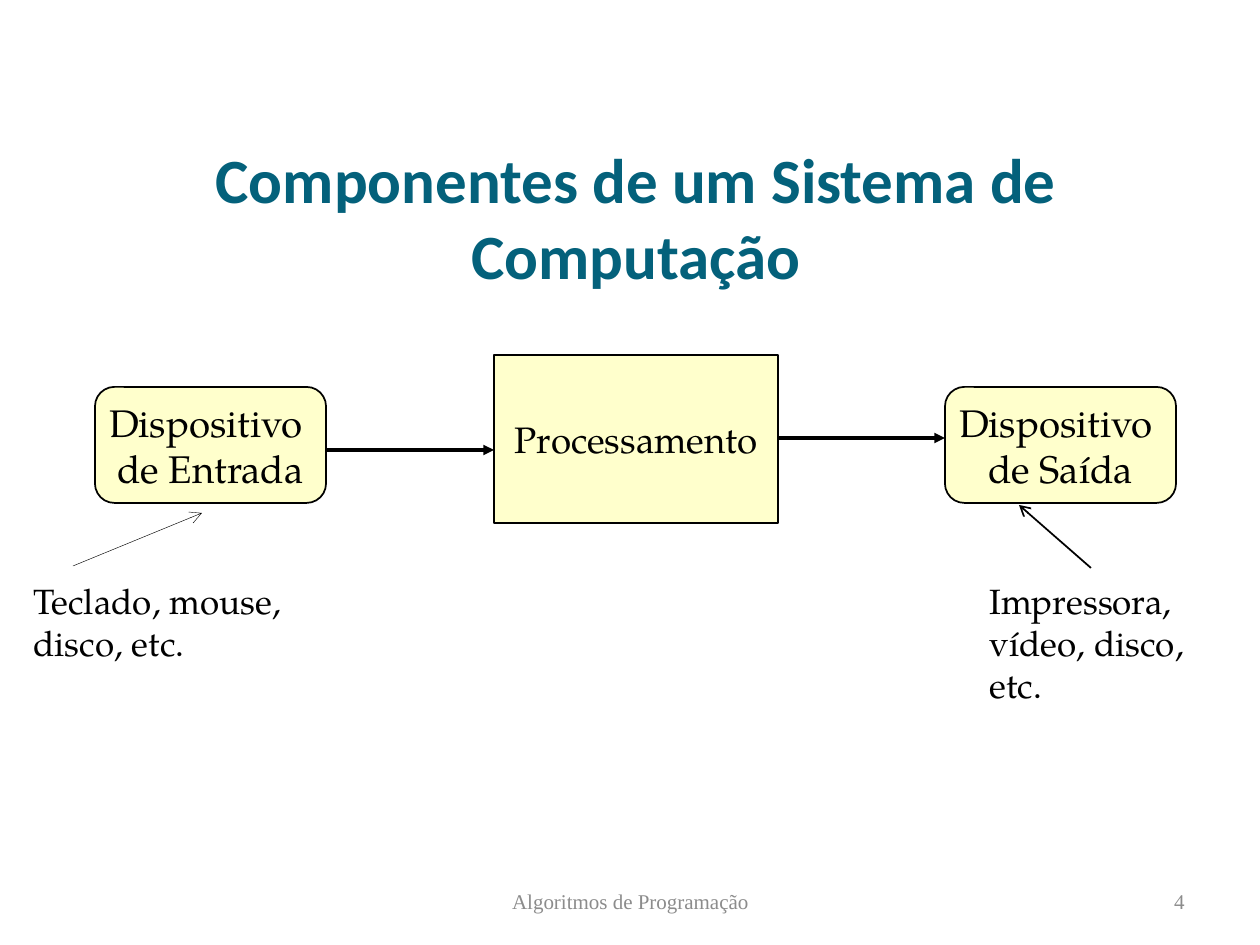
from lxml.etree import SubElement
from pptx import Presentation
from pptx.dml.color import RGBColor
from pptx.enum.shapes import MSO_CONNECTOR, MSO_SHAPE
from pptx.enum.text import MSO_ANCHOR as ANCHOR, MSO_AUTO_SIZE as FIT, PP_ALIGN as ALIGN
from pptx.oxml.ns import qn
from pptx.util import Pt

PX = 914400 // 126
COLORS = {"title": "04617B", "box": "FFFFCC", "ink": "000000", "footer": "8C8C8C"}
BODY_FONT = "TeX Gyre Pagella"


def emu(*pixels):
    """Turn pixel lengths into EMU."""
    return [n * PX for n in pixels]


def color(name):
    """Look up a named colour."""
    return RGBColor.from_string(COLORS[name])


def set_text(sp, lines, size, font=BODY_FONT, ink="ink", align=ALIGN.LEFT,
             anchor=ANCHOR.TOP, wrap=True, bold=False):
    """Write one paragraph per line with a common format."""
    tf = sp.text_frame
    frame = {"word_wrap": wrap, "vertical_anchor": anchor, "auto_size": FIT.NONE}
    for key, value in frame.items():
        setattr(tf, key, value)
    tf.text = "\n".join(lines)
    for p in tf.paragraphs:
        p.alignment = align
        for r in p.runs:
            for key, value in {"name": font, "size": Pt(size), "bold": bold}.items():
                setattr(r.font, key, value)
            r.font.color.rgb = color(ink)


def add_title(s, box, text):
    """Place and format the title placeholder."""
    sp = s.shapes.title
    for key, value in zip(("left", "top", "width", "height"), emu(*box)):
        setattr(sp, key, value)
    set_text(sp, [text], 36, "Calibri", "title", ALIGN.CENTER, ANCHOR.MIDDLE, bold=True)


def add_label(s, box, lines, size=20, **fmt):
    """Add a text box."""
    set_text(s.shapes.add_textbox(*emu(*box)), lines, size, **fmt)


def add_box(s, kind, box, lines, size):
    """Add a filled diagram box with centred text."""
    sp = s.shapes.add_shape(kind, *emu(*box))
    sp.shadow.inherit = False
    sp.fill.solid()
    sp.fill.fore_color.rgb = color("box")
    sp.line.color.rgb = color("ink")
    sp.line.width = Pt(1)
    set_text(sp, lines, size, align=ALIGN.CENTER, anchor=ANCHOR.MIDDLE, wrap=False)


def add_arrow(s, points, width, head):
    """Add a straight line that ends in an arrowhead."""
    line = s.shapes.add_connector(MSO_CONNECTOR.STRAIGHT, *emu(*points))
    line.line.color.rgb = color("ink")
    line.line.width = Pt(width)
    SubElement(line.line._get_or_add_ln(), qn("a:tailEnd"), type=head)
    SubElement(line._element.spPr, qn("a:effectLst"))


def main():
    """Build the slide."""
    prs = Presentation()
    prs.slide_width, prs.slide_height = emu(1260, 945)
    s = prs.slides.add_slide(prs.slide_layouts[5])

    add_title(s, (53, 164, 1166, 105), "Componentes de um Sistema de Computação")

    footer = {"size": 12, "font": "Times New Roman", "ink": "footer", "anchor": ANCHOR.MIDDLE}
    add_label(s, (431, 876, 399, 50), ["Algoritmos de Programação"], align=ALIGN.CENTER, **footer)
    add_label(s, (903, 876, 294, 50), ["4"], align=ALIGN.RIGHT, **footer)

    add_box(s, MSO_SHAPE.RECTANGLE, (494, 355, 284, 168), ["Processamento"], 21)
    for left, device in ((95, "de Entrada"), (945, "de Saída")):
        add_box(s, MSO_SHAPE.ROUNDED_RECTANGLE, (left, 387, 231, 116),
                ["Dispositivo ", device], 22)

    add_label(s, (21, 573, 325, 97), ["Teclado, mouse,", "disco, etc."])
    add_label(s, (977, 573, 273, 97), ["Impressora, vídeo, disco, etc."])

    for points, width, head in (
        ((326, 450, 494, 450), 2, "triangle"),
        ((778, 438, 945, 438), 2, "triangle"),
        ((73, 566, 202, 513), 0.25, "arrow"),
        ((1091, 568, 1019, 505), 1, "arrow"),
    ):
        add_arrow(s, points, width, head)

    prs.save("out.pptx")


main()
